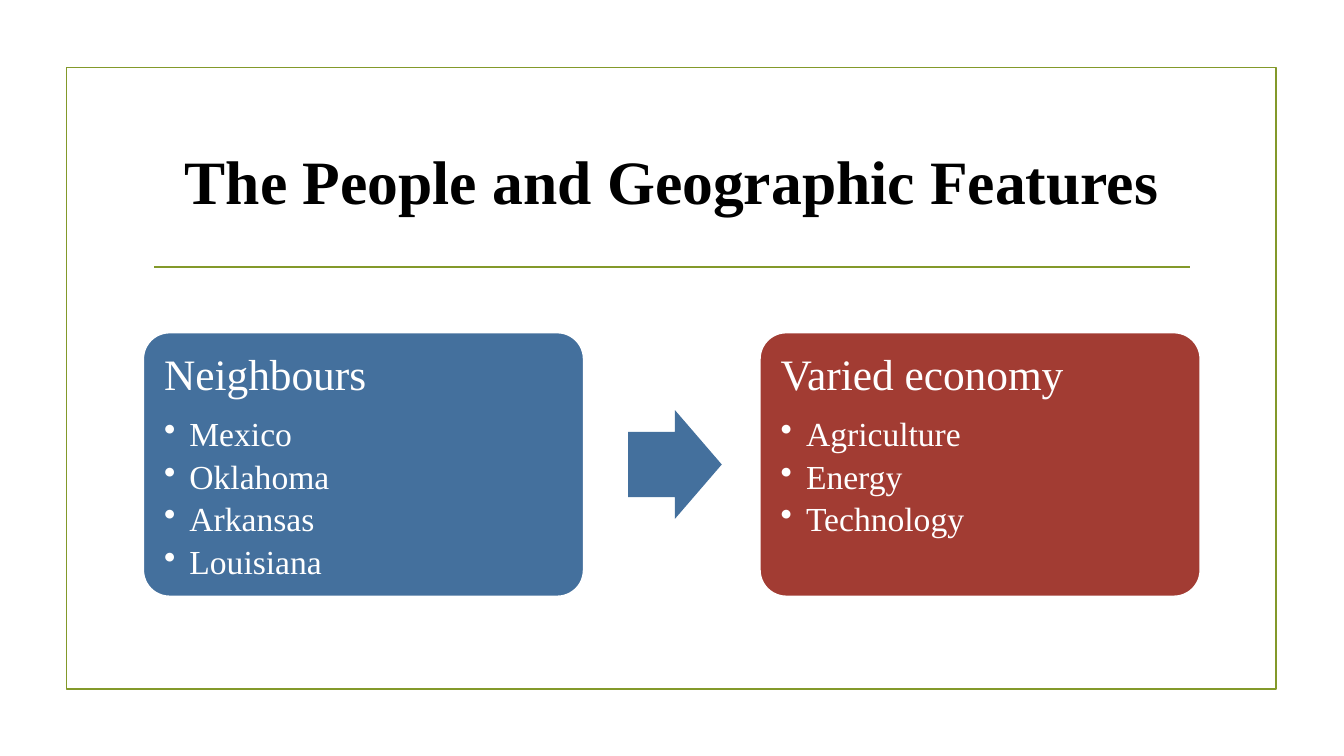
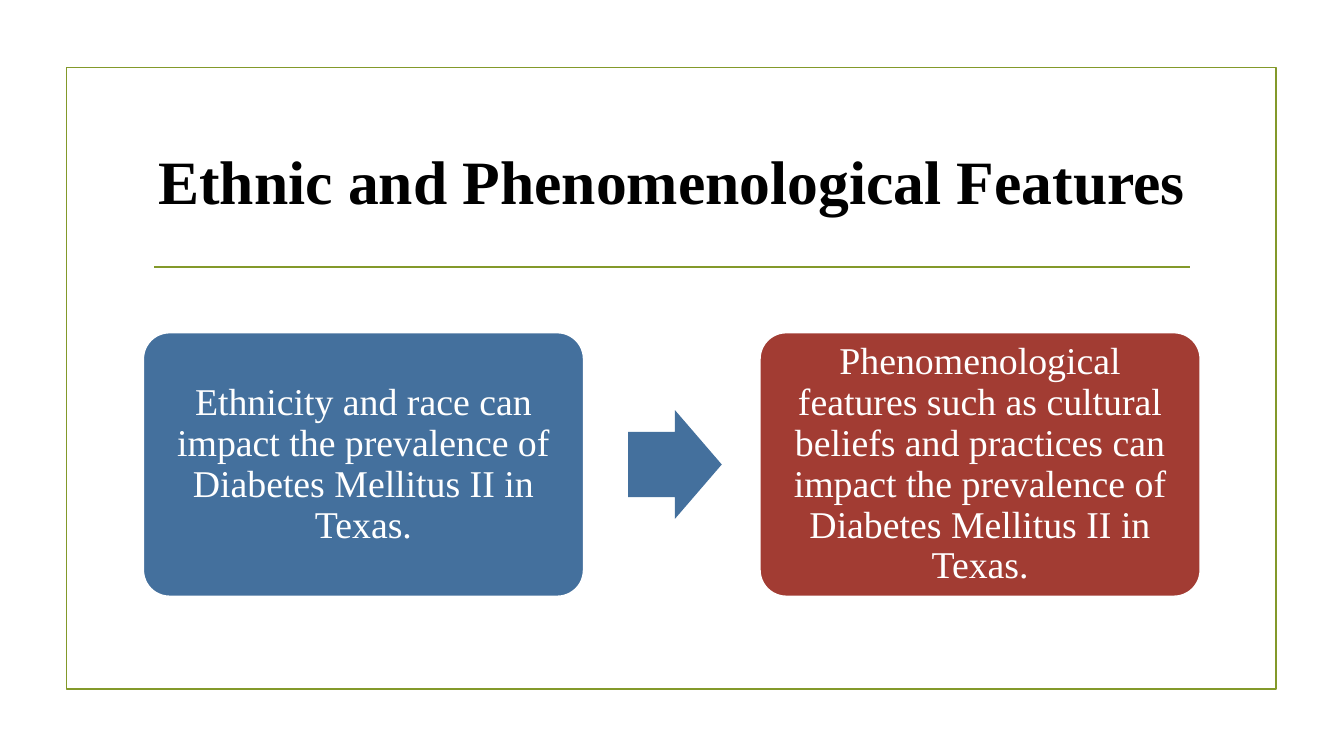
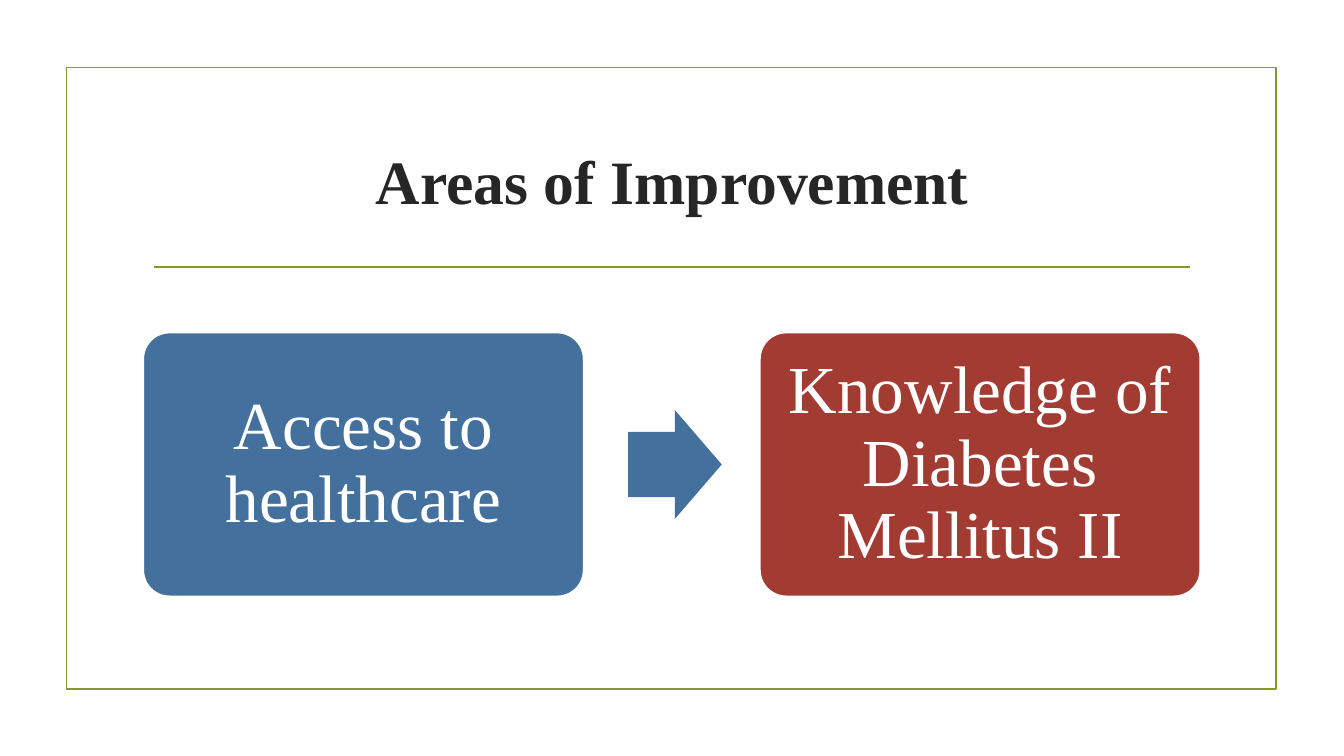
from dataclasses import dataclass

from lxml import etree
from pptx import Presentation
from pptx import util as u
from pptx.dml.color import RGBColor
from pptx.enum import shapes, text
from pptx.oxml.ns import qn


@dataclass(frozen=True)
class Theme:
    font: str = "Times New Roman"
    olive: str = "83992A"
    blue: str = "44709D"
    red: str = "A23C33"
    white: str = "FFFFFF"
    black: str = "000000"
    charcoal: str = "262626"
    title: int = 44
    heading: int = 31
    item: int = 24
    statement: int = 27
    slogan: int = 48
    line: float = 1.25


@dataclass(frozen=True)
class Box:
    """A region in centimetres."""
    left: float
    top: float
    width: float
    height: float

    def lengths(self):
        return [u.Cm(n) for n in (self.left, self.top, self.width, self.height)]


THEME = Theme()
FRAME = Box(1.68, 1.7, 30.48, 15.67)
TITLE = Box(3.61, 2.72, 26.67, 3.63)
RULE = Box(3.89, 6.73, 26.11, 0)
BODY = Box(3.61, 8.38, 26.64, 6.65)
CARD_WIDTH = 11.1
ARROW_GAP, ARROW_WIDTH, ARROW_HEIGHT = 1.12, 2.36, 2.74


def colour(value):
    return RGBColor.from_string(value)


def write(para, words, *, size, color, bold=False, align=None,
          spacing=None, after=None, bullet_indent=None):
    span = para.add_run()
    span.text = words
    span.font.name = THEME.font
    span.font.size = u.Pt(size)
    span.font.bold = bold
    span.font.color.rgb = colour(color)
    para.alignment = align
    para.line_spacing = spacing
    if after is not None:
        para.space_after = u.Pt(after)
    if bullet_indent:
        indent = u.Cm(bullet_indent)
        properties = para._p.get_or_add_pPr()
        properties.set("marL", str(indent))
        properties.set("indent", str(-indent))
        etree.SubElement(properties, qn("a:buChar")).set("char", "•")


def add_block(page, kind, box, adjustments=(), fill=None, line=None):
    block = page.shapes.add_shape(kind, *box.lengths())
    block.shadow.inherit = False
    for index, value in enumerate(adjustments):
        block.adjustments[index] = value
    if fill:
        block.fill.solid()
        block.fill.fore_color.rgb = colour(fill)
    else:
        block.fill.background()
    if line:
        block.line.color.rgb = colour(line)
        block.line.width = u.Pt(THEME.line)
    else:
        block.line.fill.background()
    return block


def add_rule(page, box):
    left, top, width, height = box.lengths()
    rule = page.shapes.add_connector(
        shapes.MSO_CONNECTOR.STRAIGHT, left, top, left + width, top + height)
    rule.line.color.rgb = colour(THEME.olive)
    rule.line.width = u.Pt(THEME.line)
    etree.SubElement(rule._element.spPr, qn("a:effectLst"))
    return rule


def decorate_layout(layout, page):
    """Draw the frame and rule on a page, then move them to its layout."""
    frame = add_block(page, shapes.MSO_SHAPE.RECTANGLE, FRAME, line=THEME.olive)
    for part in (add_rule(page, RULE), frame):
        layout.shapes.element.insert(2, part.element)
    title = layout.placeholders[0]
    title.left, title.top, title.width, title.height = TITLE.lengths()
    title.text_frame.vertical_anchor = text.MSO_ANCHOR.MIDDLE


def add_card(page, box, fill, inset):
    card = add_block(page, shapes.MSO_SHAPE.ROUNDED_RECTANGLE, box,
                     [0.1], fill, THEME.white)
    frame = card.text_frame
    frame.word_wrap = True
    frame.margin_left = frame.margin_right = u.Cm(inset)
    frame.margin_top = frame.margin_bottom = u.Cm(inset)
    return frame


def fill_list(frame, heading, items):
    frame.vertical_anchor = text.MSO_ANCHOR.TOP
    shared = dict(color=THEME.white, align=text.PP_ALIGN.LEFT, spacing=0.9)
    write(frame.paragraphs[0], heading, size=THEME.heading, after=12.5, **shared)
    for item in items:
        write(frame.add_paragraph(), item, size=THEME.item, after=4.5,
              bullet_indent=0.64, **shared)


def fill_statement(frame, words, size):
    frame.vertical_anchor = text.MSO_ANCHOR.MIDDLE
    write(frame.paragraphs[0], words, size=size, color=THEME.white,
          align=text.PP_ALIGN.CENTER, spacing=0.9)


def add_card_pair(page, box, inset):
    """Place two cards with an arrow between them; return their text frames."""
    right_left = box.left + box.width - CARD_WIDTH
    first = add_card(page, Box(box.left, box.top, CARD_WIDTH, box.height),
                     THEME.blue, inset)
    arrow = Box(box.left + CARD_WIDTH + ARROW_GAP,
                box.top + (box.height - ARROW_HEIGHT) / 2,
                ARROW_WIDTH, ARROW_HEIGHT)
    add_block(page, shapes.MSO_SHAPE.RIGHT_ARROW, arrow, [0.6, 0.5], THEME.blue)
    second = add_card(page, Box(right_left, box.top, CARD_WIDTH, box.height),
                      THEME.red, inset)
    return first, second


def add_page(deck, layout, title, color=THEME.black):
    page = deck.slides.add_slide(layout)
    write(page.shapes.title.text_frame.paragraphs[0], title, size=THEME.title,
          color=color, bold=True, align=text.PP_ALIGN.CENTER)
    return page


def list_page(page, columns):
    for frame, (heading, items) in zip(add_card_pair(page, BODY, 0.33), columns):
        fill_list(frame, heading, items)


def statement_page(page, statements, size, inset):
    for frame, words in zip(add_card_pair(page, BODY, inset), statements):
        fill_statement(frame, words, size)


def main():
    deck = Presentation()
    deck.slide_width, deck.slide_height = u.Cm(33.87), u.Cm(19.05)
    layout = deck.slide_layouts.get_by_name("Title Only")

    people = add_page(deck, layout, "The People and Geographic Features")
    decorate_layout(layout, people)
    list_page(people, [
        ("Neighbours", ["Mexico", "Oklahoma", "Arkansas", "Louisiana"]),
        ("Varied economy", ["Agriculture", "Energy", "Technology"]),
    ])

    ethnic = add_page(deck, layout, "Ethnic and Phenomenological Features")
    statement_page(ethnic, [
        "Ethnicity and race can impact the prevalence of "
        "Diabetes Mellitus II in Texas.",
        "Phenomenological features such as cultural beliefs and practices "
        "can impact the prevalence of Diabetes Mellitus II in Texas.",
    ], THEME.statement, 0.28)

    improvement = add_page(deck, layout, "Areas of Improvement", THEME.charcoal)
    statement_page(improvement, [
        "Access to healthcare",
        "Knowledge of Diabetes Mellitus II",
    ], THEME.slogan, 0.5)

    deck.save("out.pptx")


if __name__ == "__main__":
    main()
